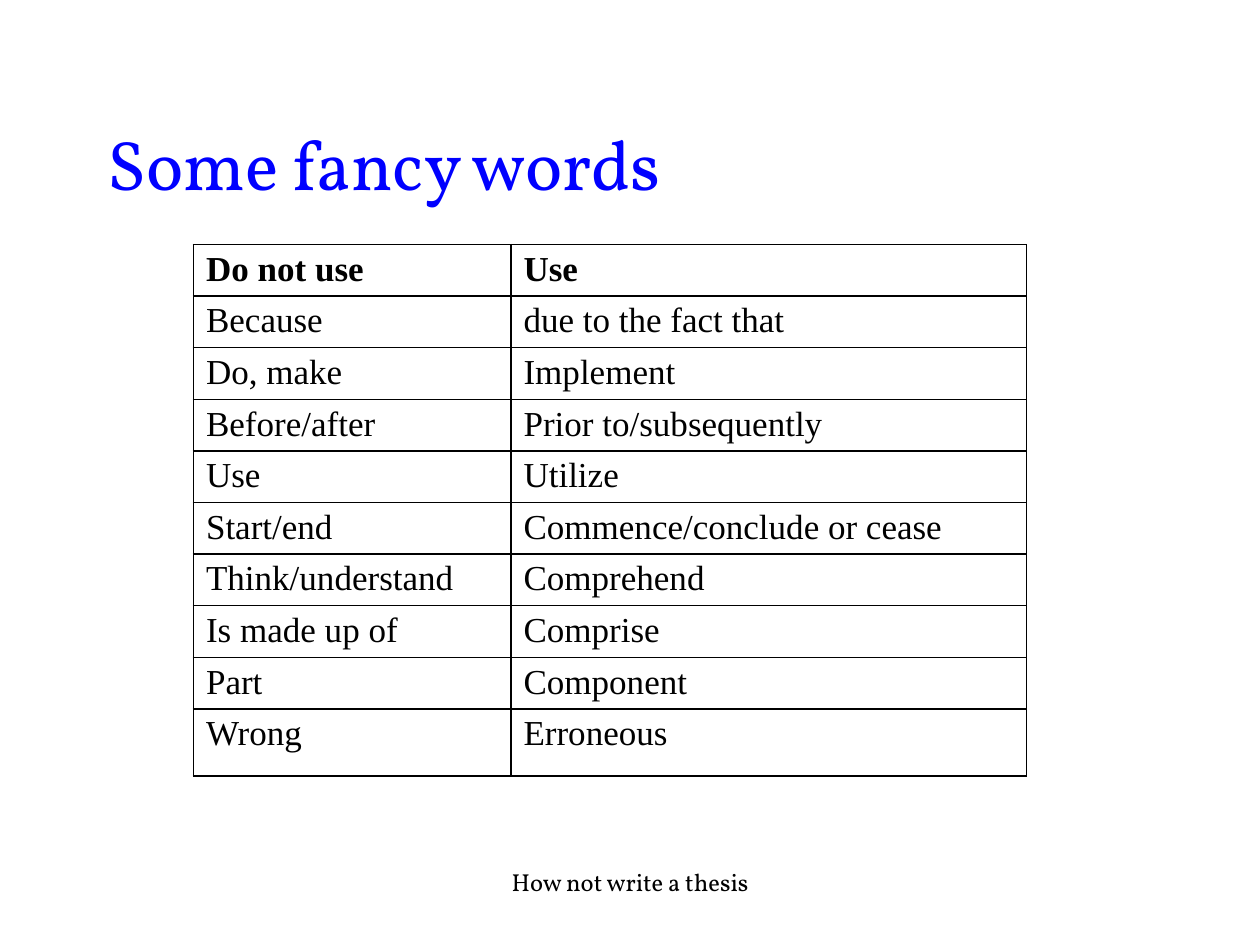
from lxml import etree
from pptx import Presentation
from pptx.dml.color import RGBColor
from pptx.enum import text
from pptx.oxml.ns import qn
from pptx.util import Cm, Pt

BLACK = "000000"
BLUE = "0000FF"
WORDS = [
    ("Do not use", "Use"),
    ("Because", "due to the fact that"),
    ("Do, make", "Implement"),
    ("Before/after", "Prior to/subsequently"),
    ("Use", "Utilize"),
    ("Start/end", "Commence/conclude or cease"),
    ("Think/understand", "Comprehend"),
    ("Is made up of", "Comprise"),
    ("Part", "Component"),
    ("Wrong", "Erroneous"),
]
COL_WIDTHS = [6.4, 10.39]
ROW_HEIGHT = 1.04
LAST_ROW_HEIGHT = 1.35


def rgb(color):
    return RGBColor.from_string(color)


def style(p, name, size, color, bold=False):
    p.font.name = name
    p.font.size = Pt(size)
    p.font.bold = bold
    p.font.color.rgb = rgb(color)


def add_text(slide, box, content, size, color, align, anchor):
    sp = slide.shapes.add_textbox(*map(Cm, box))
    tf = sp.text_frame
    tf.word_wrap = True
    tf.vertical_anchor = anchor
    p = tf.paragraphs[0]
    p.text = content
    p.alignment = align
    style(p, "Vollkorn", size, color)


def set_borders(cell, color, width):
    tc_pr = cell._tc.get_or_add_tcPr()
    for side in ("lnL", "lnR", "lnT", "lnB"):
        ln = etree.SubElement(tc_pr, qn(f"a:{side}"), w=str(Pt(width)))
        fill = etree.SubElement(ln, qn("a:solidFill"))
        etree.SubElement(fill, qn("a:srgbClr"), val=color)


def add_word_table(slide, left, top):
    heights = [ROW_HEIGHT] * (len(WORDS) - 1) + [LAST_ROW_HEIGHT]
    table = slide.shapes.add_table(
        len(WORDS), len(COL_WIDTHS), Cm(left), Cm(top),
        Cm(sum(COL_WIDTHS)), Cm(sum(heights))).table
    table.first_row = table.horz_banding = False
    for column, width in zip(table.columns, COL_WIDTHS):
        column.width = Cm(width)
    for i, (row, words) in enumerate(zip(table.rows, WORDS)):
        row.height = Cm(heights[i])
        for cell, word in zip(row.cells, words):
            cell.text = word
            cell.margin_top, cell.margin_bottom = Cm(0.11), Cm(0.08)
            style(cell.text_frame.paragraphs[0], "Times New Roman", 20, BLACK,
                  bold=i == 0)
            set_borders(cell, BLACK, 1)
            cell.fill.background()


def main():
    prs = Presentation()
    prs.slide_width, prs.slide_height = Cm(25.4), Cm(19.05)
    slide = prs.slides.add_slide(prs.slide_layouts[6])
    add_text(slide, (1.92, 1.68, 21.6, 3.18), "Some fancy words", 40, BLUE,
             text.PP_ALIGN.LEFT, text.MSO_ANCHOR.MIDDLE)
    add_text(slide, (8.68, 17.35, 8.05, 1.27), "How not write a thesis", 14,
             BLACK, text.PP_ALIGN.CENTER, text.MSO_ANCHOR.TOP)
    add_word_table(slide, 3.9, 4.93)
    prs.save("out.pptx")


if __name__ == "__main__":
    main()
